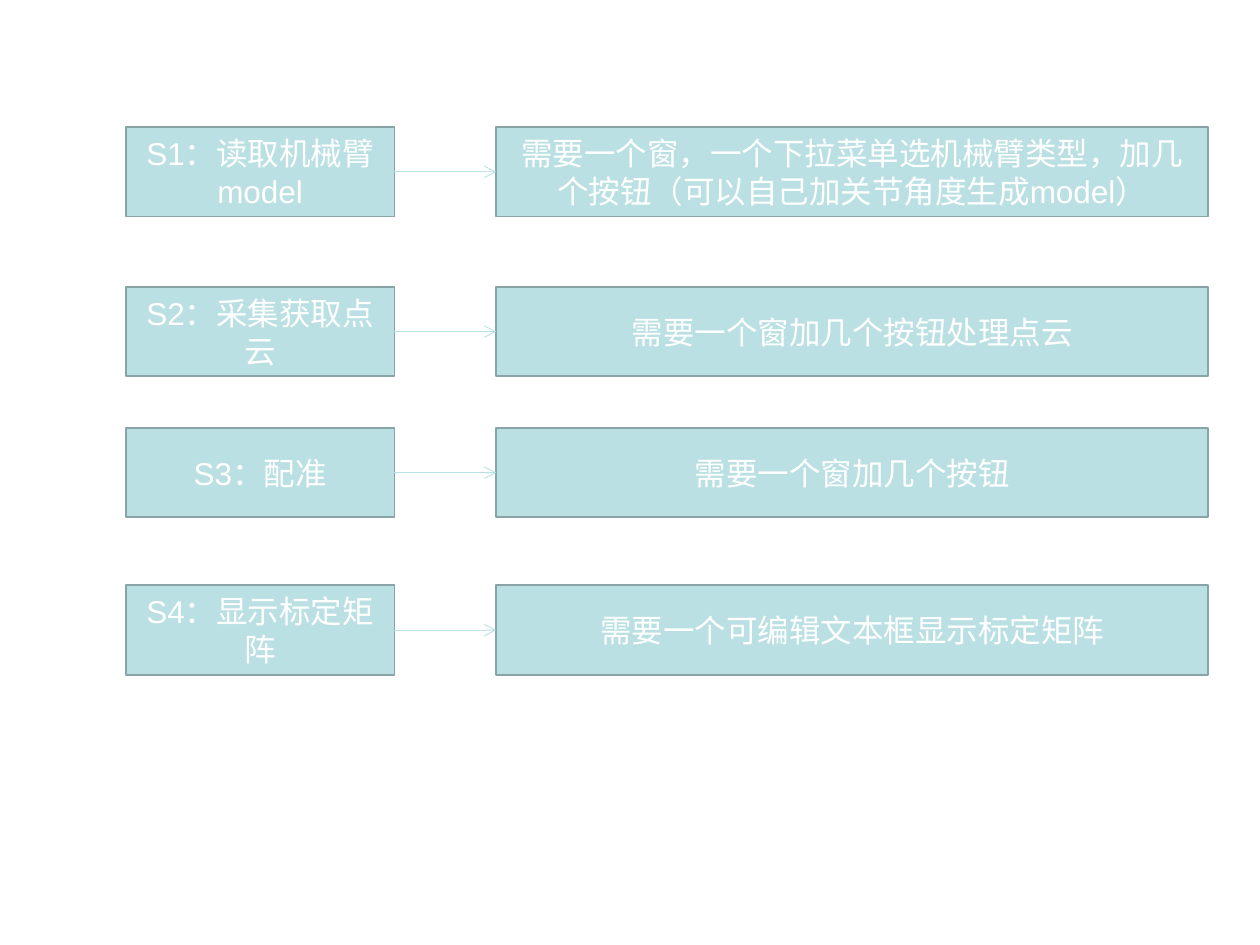
from lxml import etree
from pptx import Presentation
from pptx.dml.color import RGBColor
from pptx.enum.shapes import MSO_CONNECTOR, MSO_SHAPE
from pptx.enum.text import MSO_ANCHOR, PP_ALIGN
from pptx.oxml.ns import qn
from pptx.util import Pt

RECTANGLE = MSO_SHAPE.RECTANGLE
STRAIGHT = MSO_CONNECTOR.STRAIGHT
MIDDLE = MSO_ANCHOR.MIDDLE
CENTER = PP_ALIGN.CENTER

PALE_TEAL = RGBColor(0xBB, 0xE0, 0xE3)
GREY_TEAL = RGBColor(0x89, 0xA4, 0xA7)
WHITE = RGBColor(0xFF, 0xFF, 0xFF)
FONT = "Arial"

# Layout in points
STEP_LEFT, STEP_WIDTH = 72, 153.4
NEED_LEFT, NEED_WIDTH = 283.5, 407
BOX_HEIGHT = 51.2

# Top of the row, step, what its interface needs
ROWS = [
    (72.6, "S1：读取机械臂model",
     "需要一个窗，一个下拉菜单选机械臂类型，加几个按钮（可以自己加关节角度生成model）"),
    (163.9, "S2：采集获取点云", "需要一个窗加几个按钮处理点云"),
    (244.5, "S3：配准", "需要一个窗加几个按钮"),
    (334.5, "S4：显示标定矩阵", "需要一个可编辑文本框显示标定矩阵"),
]


def add_box(page, left, top, width, text):
    box = page.shapes.add_shape(
        RECTANGLE, Pt(left), Pt(top), Pt(width), Pt(BOX_HEIGHT))
    box.shadow.inherit = False
    box.fill.solid()
    box.fill.fore_color.rgb = PALE_TEAL
    box.line.color.rgb = GREY_TEAL
    box.line.width = Pt(1)

    frame = box.text_frame
    frame.word_wrap = True
    frame.vertical_anchor = MIDDLE
    para = frame.paragraphs[0]
    para.alignment = CENTER
    span = para.add_run()
    span.text = text
    span.font.name = FONT
    span.font.size = Pt(18)
    span.font.color.rgb = WHITE


def add_arrow(page, start, end, height):
    arrow = page.shapes.add_connector(
        STRAIGHT, Pt(start), Pt(height), Pt(end), Pt(height))
    arrow.line.color.rgb = PALE_TEAL
    arrow.line.width = Pt(0.5)
    # Open arrowhead, no shadow
    etree.SubElement(arrow.line._get_or_add_ln(), qn("a:tailEnd"), type="arrow")
    etree.SubElement(arrow._element.spPr, qn("a:effectLst"))


def main():
    deck = Presentation()
    deck.slide_width, deck.slide_height = Pt(720), Pt(540)
    page = deck.slides.add_slide(deck.slide_layouts[6])

    # Each step points to its requirement
    for top, step, need in ROWS:
        add_box(page, STEP_LEFT, top, STEP_WIDTH, step)
        add_box(page, NEED_LEFT, top, NEED_WIDTH, need)
        add_arrow(page, STEP_LEFT + STEP_WIDTH, NEED_LEFT, top + BOX_HEIGHT / 2)

    deck.save("out.pptx")


if __name__ == "__main__":
    main()
